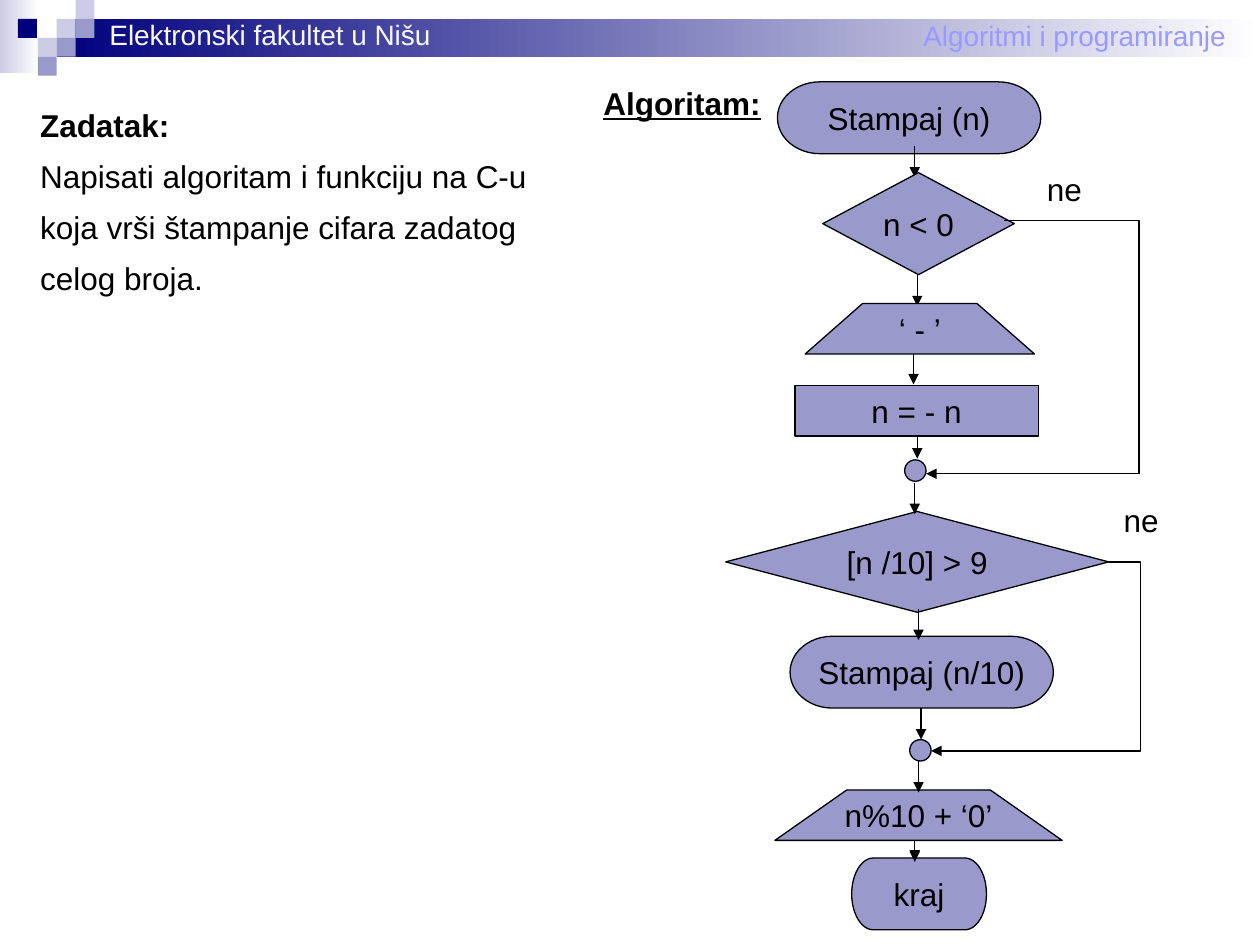
from lxml import etree
from pptx import Presentation
from pptx.dml.color import RGBColor
from pptx.enum.shapes import MSO_CONNECTOR as CONN, MSO_SHAPE as SHAPE
from pptx.enum.text import MSO_ANCHOR as ANCHOR, PP_ALIGN as ALIGN
from pptx.oxml.ns import qn
from pptx.util import Inches, Pt

COLORS = {"navy": "00007D", "mid": "9999CC", "pale": "CCCCE6", "white": "FFFFFF",
          "black": "000000", "light": "F8F8F8", "lilac": "9999FF"}
BANDS = [((0, 0, 0.31, 0.58), "pale"), ((0.45, 0.15, 9.55, 0.3), "navy")]
TILE = 0.15
TILES = [(3, 1, "pale"), (4, 0, "pale"), (4, 1, "mid"), (2, 2, "pale"),
         (0.95, 1, "navy"), (3, 2, "mid"), (2, 3, "mid")]

TEXTS = [
    ((7.23, 0.1, 2.6, 0.37), "Algoritmi i programiranje", 16, "lilac"),
    ((0.77, 0.09, 2.75, 0.37), "Elektronski fakultet u Nišu", 16, "light"),
    ((8.21, 1.3, 0.48, 0.4), "ne", 18, "black"),
    ((8.82, 3.93, 0.48, 0.4), "ne", 18, "black"),
]
HEADING = ((4.69, 0.62, 1.45, 0.4), "Algoritam:")
TASK_BOX = (0.22, 0.79, 4.2, 2.86)
TASK_TITLE = "Zadatak:"
TASK = "Napisati algoritam i funkciju na C-u koja vrši štampanje cifara zadatog celog broja."

TERM, DECISION = SHAPE.FLOWCHART_TERMINATOR, SHAPE.FLOWCHART_DECISION
PROCESS, JOIN = SHAPE.FLOWCHART_PROCESS, SHAPE.FLOWCHART_CONNECTOR
BACK_NODES = [
    (TERM, (6.17, 0.65, 2.09, 0.57), "Stampaj (n)"),
    (PROCESS, (6.31, 3.06, 1.93, 0.4), "n = - n"),
    (DECISION, (5.76, 4.06, 3.04, 0.8), "[n /10] > 9"),
    (JOIN, (7.22, 5.87, 0.17, 0.17), ""),
    (TERM, (6.76, 6.81, 1.07, 0.57), "kraj"),
]
BACK_ARROWS = [(7.26, 1.16, 1.41), (7.26, 1.83, 2), (7.28, 2.14, 2.43), (7.25, 2.8, 3.05),
               (7.28, 3.47, 3.64), (7.26, 6.68, 6.84), (7.26, 6.66, 6.83)]
FRONT_NODES = [
    (DECISION, (6.53, 1.37, 1.52, 0.81), "n < 0"),
    (JOIN, (7.18, 3.65, 0.17, 0.17), ""),
    (TERM, (6.27, 5.05, 2.09, 0.57), "Stampaj (n/10)"),
]
OUTPUTS = [((6.39, 2.41, 1.82, 0.4), "‘ - ’"), ((6.15, 6.27, 2.28, 0.4), "n%10 + ‘0’")]
FRONT_ARROWS = [(7.26, 3.83, 4.08), (7.29, 4.83, 5.08), (7.31, 5.62, 5.87), (7.29, 6.04, 6.29)]
BYPASS = [(7.97, 1.75), (9.04, 1.75), (9.04, 3.76)]
BYPASS_END = (7.35, 3.76)
ELBOW = ((8.8, 4.46), (7.39, 5.96), -0.177)


def rgb(name):
    return RGBColor.from_string(COLORS[name])


def inches(values):
    return [Inches(v) for v in values]


def style(p, size, color, bold=False, underline=False):
    f = p.font
    f.name, f.size, f.bold, f.underline = "Arial", Pt(size), bold, underline
    f.color.rgb = rgb(color)


def outline(line):
    line.color.rgb = rgb("black")
    line.width = Pt(0.75)


def plain_rect(box):
    s = shapes.add_shape(SHAPE.RECTANGLE, *inches(box))
    s.shadow.inherit = False
    s.line.fill.background()
    return s


def add_text(box, text, size, color, **kw):
    tf = shapes.add_textbox(*inches(box)).text_frame
    tf.word_wrap = False
    p = tf.paragraphs[0]
    p.text = text
    style(p, size, color, **kw)
    return tf


def finish_node(s, text):
    s.shadow.inherit = False
    s.fill.solid()
    s.fill.fore_color.rgb = rgb("mid")
    outline(s.line)
    if text:
        tf = s.text_frame
        tf.word_wrap = False
        tf.vertical_anchor = ANCHOR.MIDDLE
        p = tf.paragraphs[0]
        p.text = text
        p.alignment = ALIGN.CENTER
        style(p, 18, "black")


def add_node(kind, box, text):
    finish_node(shapes.add_shape(kind, *inches(box)), text)


def polyline(points, close):
    fb = shapes.build_freeform(*inches(points[0]), scale=1.0)
    fb.add_line_segments([inches(pt) for pt in points[1:]], close=close)
    return fb.convert_to_shape()


def add_output(box, text):
    x, y, w, h = box
    inset = w / 4
    points = [(x + inset, y), (x + w - inset, y), (x + w, y + h), (x, y + h)]
    finish_node(polyline(points, True), text)


def add_arrow(start, end, kind=CONN.STRAIGHT):
    c = shapes.add_connector(kind, *inches(start + end))
    outline(c.line)
    etree.SubElement(c.line._get_or_add_ln(), qn("a:tailEnd"), type="triangle")
    etree.SubElement(c._element.spPr, qn("a:effectLst"))
    return c


def add_flow(nodes, arrows):
    for node in nodes:
        add_node(*node)
    for x, top, bottom in arrows:
        add_arrow((x, top), (x, bottom))


prs = Presentation()
prs.slide_width, prs.slide_height = Inches(10), Inches(7.5)
shapes = prs.slides.add_slide(prs.slide_layouts[6]).shapes

for box, color in BANDS:
    fill = plain_rect(box).fill
    fill.gradient()
    fill.gradient_angle = 0
    for stop, position, name in zip(fill.gradient_stops, (0, 1), (color, "white")):
        stop.position = position
        stop.color.rgb = rgb(name)
for col, row, color in TILES:
    s = plain_rect((col * TILE, row * TILE, TILE, TILE))
    s.fill.solid()
    s.fill.fore_color.rgb = rgb(color)

for item in TEXTS:
    add_text(*item)
add_text(*HEADING, 18, "black", bold=True, underline=True)
tf = add_text(TASK_BOX, TASK_TITLE, 18, "black", bold=True)
tf.word_wrap = True
p = tf.add_paragraph()
p.text = TASK
p.line_spacing = 1.35
style(p, 18, "black")

add_flow(BACK_NODES, BACK_ARROWS)
start, end, bend = ELBOW
elbow = add_arrow(start, end, CONN.ELBOW)
guides = elbow._element.spPr.find(qn("a:prstGeom")).get_or_add_avLst()
etree.SubElement(guides, qn("a:gd"), name="adj1", fmla=f"val {round(bend * 100000)}")

for output in OUTPUTS:
    add_output(*output)
add_flow(FRONT_NODES, FRONT_ARROWS)
s = polyline(BYPASS, False)
s.shadow.inherit = False
s.fill.background()
outline(s.line)
add_arrow(BYPASS[-1], BYPASS_END)

prs.save("out.pptx")
